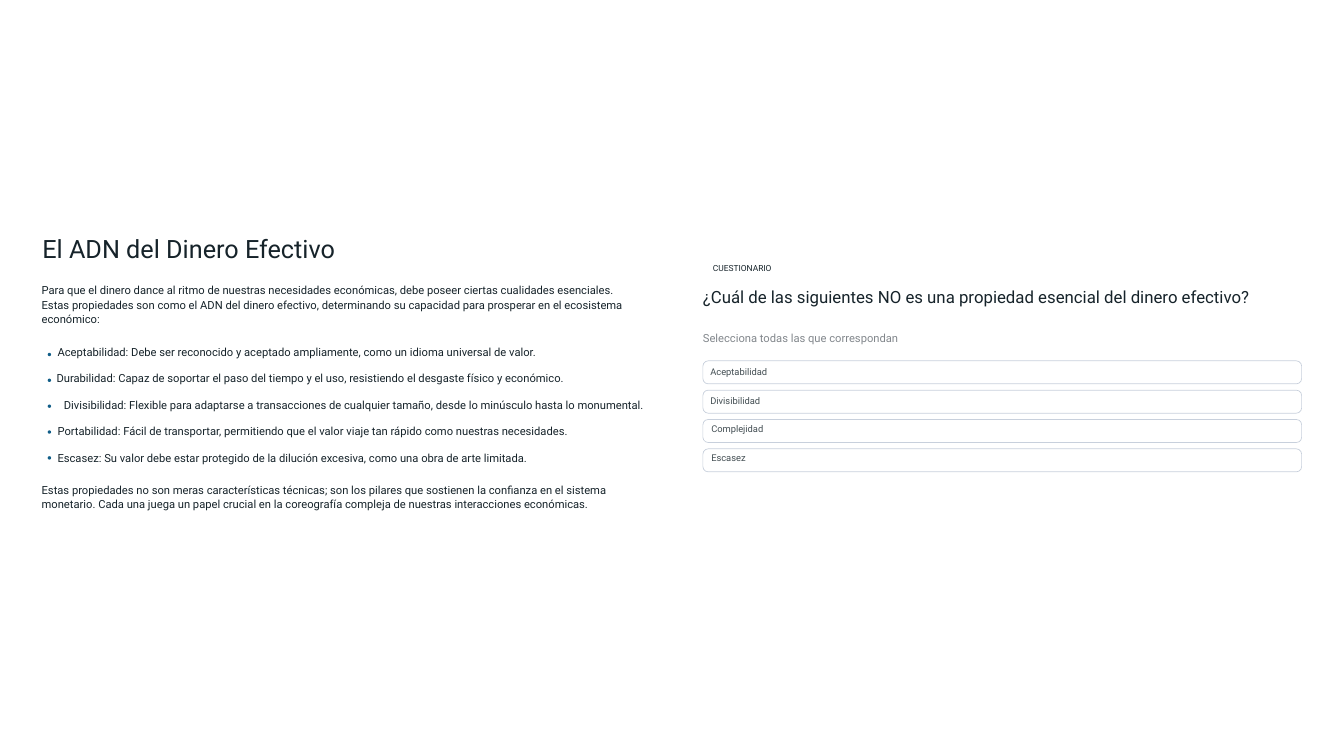
from pptx import Presentation
from pptx.dml.color import RGBColor
from pptx.enum.shapes import MSO_SHAPE
from pptx.enum.text import PP_ALIGN
from pptx.util import Inches, Pt

WIDTH, HEIGHT = Inches(20), Inches(11.25)
INK, MUTED, OPTION_INK = "16232A", "82878C", "434E53"
BULLET_FILL, OPTION_LINE = "115E88", "C8D0DC"

INTRODUCTION = (
    "Para que el dinero dance al ritmo de nuestras necesidades económicas, debe poseer "
    "ciertas cualidades esenciales. Estas propiedades son como el ADN del dinero efectivo, "
    "determinando su capacidad para prosperar en el ecosistema económico:"
)
PROPERTIES = [
    ("Aceptabilidad: Debe ser reconocido y aceptado ampliamente, como un idioma "
     "universal de valor.", 17, PP_ALIGN.LEFT),
    ("Durabilidad: Capaz de soportar el paso del tiempo y el uso, resistiendo el desgaste "
     "físico y económico.", 16, PP_ALIGN.LEFT),
    ("Divisibilidad: Flexible para adaptarse a transacciones de cualquier tamaño, desde lo "
     "minúsculo hasta lo monumental.", 0, PP_ALIGN.RIGHT),
    ("Portabilidad: Fácil de transportar, permitiendo que el valor viaje tan rápido como "
     "nuestras necesidades.", 17, PP_ALIGN.LEFT),
    ("Escasez: Su valor debe estar protegido de la dilución excesiva, como una obra de arte "
     "limitada.", 17, PP_ALIGN.LEFT),
]
CONCLUSION = (
    "Estas propiedades no son meras características técnicas; son los pilares que sostienen "
    "la confianza en el sistema monetario. Cada una juega un papel crucial en la coreografía "
    "compleja de nuestras interacciones económicas."
)
OPTIONS = [("Aceptabilidad", 8), ("Divisibilidad", 8), ("Complejidad", 9), ("Escasez", 9)]


def color(value):
    return RGBColor.from_string(value)


def place(left, top, width, height):
    return (
        int(WIDTH * left / 100),
        int(HEIGHT * top / 100),
        int(WIDTH * width / 100),
        int(HEIGHT * height / 100),
    )


def add_text_box(slide, left, top, width, height):
    frame = slide.shapes.add_textbox(*place(left, top, width, height)).text_frame
    frame.word_wrap = True
    frame.margin_left = frame.margin_top = frame.margin_right = frame.margin_bottom = 0
    return frame


def add_paragraph(frame, text, size, ink=INK, before=0, indent=0,
                  align=PP_ALIGN.LEFT, spacing=1.0):
    first = frame.paragraphs[0]
    paragraph = frame.add_paragraph() if first.runs else first
    paragraph.add_run().text = text
    paragraph.alignment = align
    paragraph.line_spacing = spacing
    paragraph.space_before = Pt(before)
    paragraph._p.get_or_add_pPr().set("marL", str(Pt(indent)))
    paragraph.font.name = "Roboto"
    paragraph.font.size = Pt(size)
    paragraph.font.color.rgb = color(ink)


def add_bullet_dot(slide, top):
    dot = slide.shapes.add_shape(MSO_SHAPE.OVAL, *place(3.55, top, 0.25, 0.44))
    dot.shadow.inherit = False
    dot.fill.solid()
    dot.fill.fore_color.rgb = color(BULLET_FILL)
    dot.line.fill.background()


def add_option_frame(slide, top):
    frame = slide.shapes.add_shape(
        MSO_SHAPE.ROUNDED_RECTANGLE, *place(52.3, top, 44.55, 3.04))
    frame.adjustments[0] = 0.23
    frame.shadow.inherit = False
    frame.fill.background()
    frame.line.color.rgb = color(OPTION_LINE)
    frame.line.width = Pt(0.75)


def add_lesson(slide):
    for row in range(len(PROPERTIES)):
        add_bullet_dot(slide, 46.67 + 3.42 * row)
    body = add_text_box(slide, 3.1, 37.42, 44.85, 30.13)
    add_paragraph(body, INTRODUCTION, 12, spacing=1.06)
    for row, (text, indent, align) in enumerate(PROPERTIES):
        add_paragraph(body, text, 12, before=14 if row else 21, indent=indent, align=align)
    add_paragraph(body, CONCLUSION, 12, before=19.5, spacing=1.03)


def add_quiz(slide):
    for row in range(len(OPTIONS)):
        add_option_frame(slide, 47.73 + 3.88 * row)
    quiz = add_text_box(slide, 52.3, 37.87, 41.95, 23.91)
    add_paragraph(quiz, "¿Cuál de las siguientes NO es una propiedad esencial del dinero efectivo?",
                  18, align=PP_ALIGN.JUSTIFY)
    add_paragraph(quiz, "Selecciona todas las que correspondan", 12, MUTED, before=27)
    for row, (text, indent) in enumerate(OPTIONS):
        add_paragraph(quiz, text, 10, OPTION_INK, before=18.5 if row else 23, indent=indent)


def main():
    presentation = Presentation()
    presentation.slide_width, presentation.slide_height = WIDTH, HEIGHT
    slide = presentation.slides.add_slide(presentation.slide_layouts[6])
    heading = add_text_box(slide, 3.15, 30.84, 54.25, 4.71)
    add_paragraph(heading, "El ADN del Dinero Efectivo", 27)
    add_paragraph(heading, "CUESTIONARIO", 9, align=PP_ALIGN.RIGHT)
    add_lesson(slide)
    add_quiz(slide)
    presentation.save("out.pptx")


if __name__ == "__main__":
    main()
